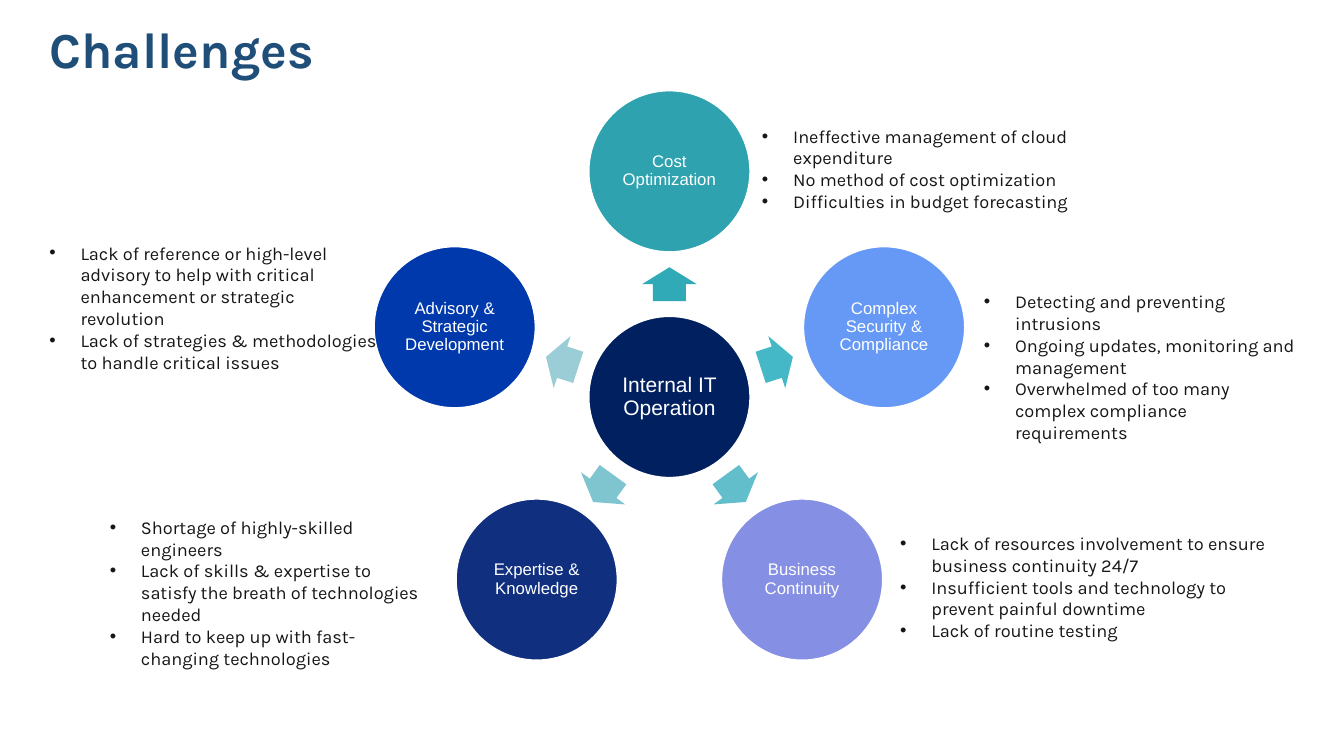
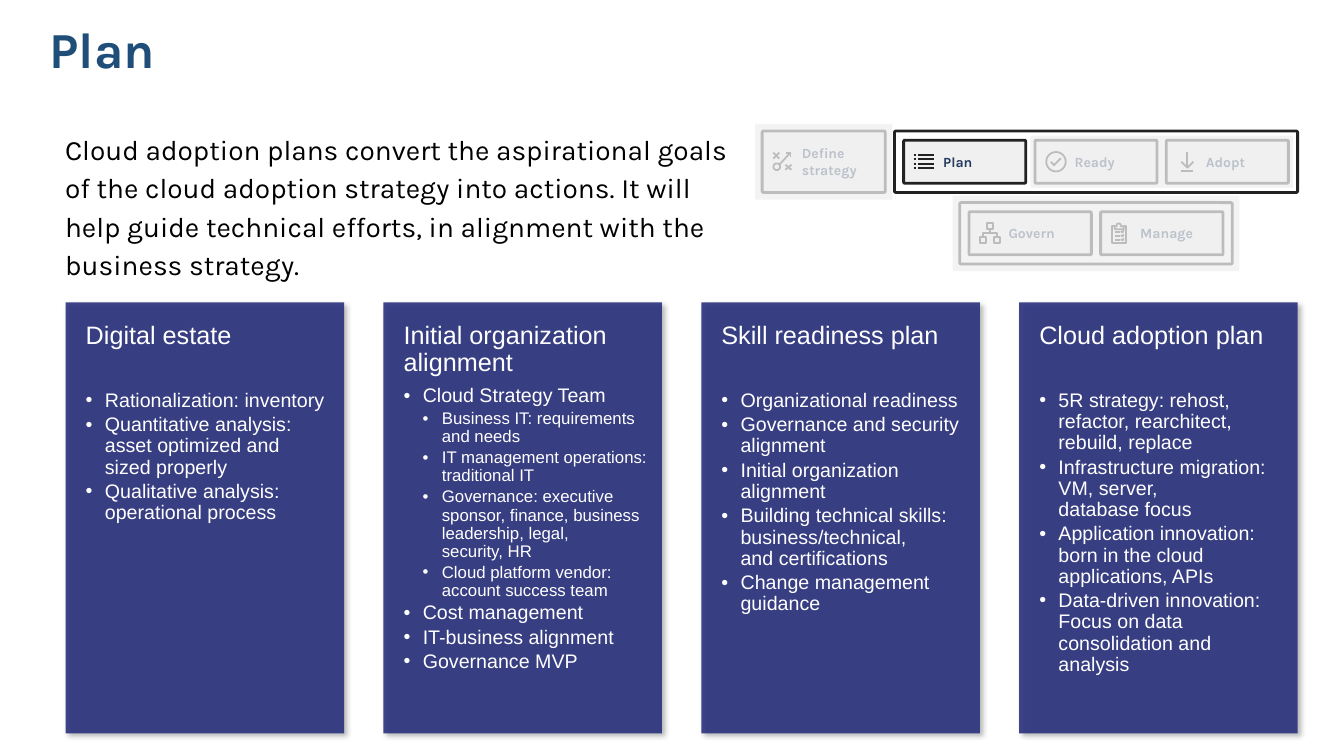
from copy import deepcopy
from dataclasses import dataclass, replace
from math import cos, radians, sin

from lxml import etree
from pptx import Presentation
from pptx import util as u
from pptx.dml.color import RGBColor
from pptx.enum import shapes as sh
from pptx.enum import text as tx
from pptx.oxml.ns import qn


@dataclass(frozen=True)
class Style:
    """Look of one kind of paragraph."""
    size: float
    font: str
    color: str
    bold: bool = False
    centered: bool = False
    spacing: float = 1.0
    after: float = 0
    level: int = 0
    margin: float = 0
    hanging: float = 0


@dataclass(frozen=True)
class Theme:
    """Colours and type styles of the deck."""
    ink: str = "222222"
    pale: str = "F0F0F0"
    white: str = "FFFFFF"
    card: str = "2A317D"
    hub: str = "002060"
    title: Style = Style(36, "Karla", "1F4E79", bold=True, spacing=0.9)
    lead: Style = Style(20, "Karla", "000000", spacing=1.14)
    note: Style = Style(13, "Karla", "171616", margin=0.31, hanging=0.31)
    hub_label: Style = Style(15, "Arial", "FFFFFF", centered=True, spacing=0.9)
    topic_label: Style = Style(12, "Arial", "FFFFFF", centered=True, spacing=0.9)
    stage: Style = Style(10, "Karla", "243A5E", bold=True)
    heading: Style = Style(18, "Arial", "FFFFFF", spacing=0.9, after=6.3)
    point: Style = Style(14, "Arial", "FFFFFF", spacing=0.9, after=2.3,
                         level=1, margin=0.19, hanging=0.19)
    subpoint: Style = Style(12, "Arial", "FFFFFF", spacing=0.9, after=2,
                            level=2, margin=0.38, hanging=0.19)


@dataclass(frozen=True)
class Box:
    """Rectangle in inches."""
    left: float
    top: float
    width: float
    height: float

    def share(self, left, top, width, height):
        """Return the area given in percent of this box."""
        return Box(self.left + self.width * left / 100, self.top + self.height * top / 100,
                   self.width * width / 100, self.height * height / 100)

    def inset(self, pad):
        """Return the box shrunk by pad on every side."""
        return Box(self.left + pad, self.top + pad, self.width - 2 * pad, self.height - 2 * pad)

    def columns(self, count, gap):
        """Split the box into equal columns."""
        width = (self.width - gap * (count - 1)) / count
        return [Box(self.left + i * (width + gap), self.top, width, self.height)
                for i in range(count)]

    def emu(self):
        """Return the four lengths for python-pptx."""
        return [u.Inches(v) for v in (self.left, self.top, self.width, self.height)]


THEME = Theme()
PAGE = Box(0, 0, 13.33, 7.5)
TITLE = PAGE.share(2.93, 2, 93.02, 9.87)

TOPICS = [
    ("Cost Optimization", "2EA2AF", "31AAB8", (55.96, 15.87, 31.13, 10.13),
     ["Ineffective management of cloud expenditure", "No method of cost optimization",
      "Difficulties in budget forecasting"]),
    ("Complex Security & Compliance", "6699F6", "44B8C7", (72.47, 37.73, 24.68, 18.8),
     ["Detecting and preventing intrusions", "Ongoing updates, monitoring and management",
      "Overwhelmed of too many complex compliance requirements"]),
    ("Business Continuity", "858FE3", "62BECB", (66.24, 69.73, 28.66, 15.87),
     ["Lack of resources involvement to ensure business continuity 24/7",
      "Insufficient tools and technology to prevent painful downtime",
      "Lack of routine testing"]),
    ("Expertise & Knowledge", "102F7F", "7FC5D0", (7.43, 67.6, 24.98, 18.8),
     ["Shortage of highly-skilled engineers",
      "Lack of skills & expertise to satisfy the breath of technologies needed",
      "Hard to keep up with fast-changing technologies"]),
    ("Advisory & Strategic Development", "0039AC", "9BCDD6", (2.93, 31.33, 25.96, 15.87),
     ["Lack of reference or high-level advisory to help with critical enhancement "
      "or strategic revolution",
      "Lack of strategies & methodologies to handle critical issues"]),
]

LEAD = ("Cloud adoption plans convert the aspirational goals of the cloud adoption strategy "
        "into actions. It will help guide technical efforts, in alignment with the business "
        "strategy.")

CARDS = [
    ("Digital estate", 29,
     ["Rationalization: inventory", "Quantitative analysis:\vasset optimized and\vsized properly",
      "Qualitative analysis: operational process"]),
    ("Initial organization alignment", 6.3,
     ["Cloud Strategy Team",
      ["Business IT: requirements\vand needs", "IT management operations: traditional IT",
       "Governance: executive\vsponsor, finance, business leadership, legal,\vsecurity, HR",
       "Cloud platform vendor: account success team"],
      "Cost management", "IT-business alignment", "Governance MVP"]),
    ("Skill readiness plan", 29,
     ["Organizational readiness", "Governance and security alignment",
      "Initial organization alignment",
      "Building technical skills: business/technical,\vand certifications",
      "Change management guidance"]),
    ("Cloud adoption plan", 29,
     ["5R strategy: rehost, refactor, rearchitect, rebuild, replace",
      "Infrastructure migration: VM, server,\vdatabase focus",
      "Application innovation: born in the cloud applications, APIs",
      "Data-driven innovation: Focus on data consolidation and analysis"]),
]


def ring(x, y, radius):
    """Return the points of a closed circle."""
    return [(x + radius * cos(radians(a)), y + radius * sin(radians(a)))
            for a in range(0, 361, 15)]


def square(x, y):
    """Return the outline of a six unit square."""
    return [(x, y), (x + 6, y), (x + 6, y + 6), (x, y + 6), (x, y)]


ICONS = {
    "Define strategy": [
        [(6, 7), (0, 1)], [(6, 1), (0, 7)], [(18, 18), (12, 13)], [(18, 13), (12, 18)],
        ring(3.5, 15, 3.3), [(6, 13), (17, 1)], [(17, 5), (17, 1), (13, 1)]],
    "Plan": [[(x, y), (end, y)] for y in (3, 7.5, 12, 16.5) for x, end in ((-1, 1), (3, 19))],
    "Ready": [ring(10, 10, 9.7), [(5, 10), (8, 13.5), (15, 6.5)]],
    "Adopt": [[(4, 10), (10, 16), (16, 10)], [(10, 16), (10, 0)], [(4, 19), (16, 19)]],
    "Govern": [square(0, 14), square(14, 14), square(7, 0), [(10, 6), (10, 10)],
               [(17, 14), (17, 10), (3, 10), (3, 14)]],
    "Manage": [
        [(3, 3), (0, 3), (0, 20), (14, 20), (14, 3), (12, 3)],
        [(5, 3), (5, 1), (7, 0), (9, 1), (9, 3), (12, 3), (12, 6), (3, 6), (3, 3), (5, 3)],
        *[[(3, y), (8, y)] for y in (9, 13, 17)],
        *[[(9, y), (11, y + 1), (12, y - 1)] for y in (8, 12, 16)]],
}


def rgb(color):
    """Turn a hex colour into an RGBColor."""
    return RGBColor.from_string(color)


def style_paragraph(paragraph, content, style):
    """Fill one paragraph and give it its style."""
    paragraph.text = content
    props = paragraph._p.get_or_add_pPr()
    if style.hanging:
        props.set("marL", str(u.Inches(style.margin)))
        props.set("indent", str(-u.Inches(style.hanging)))
        etree.SubElement(props, qn("a:buFont")).set("typeface", "Arial")
        etree.SubElement(props, qn("a:buChar")).set("char", "•")
    paragraph.level = style.level
    paragraph.alignment = tx.PP_ALIGN.CENTER if style.centered else tx.PP_ALIGN.LEFT
    paragraph.line_spacing = style.spacing
    paragraph.space_after = u.Pt(style.after)
    for run in paragraph.runs:
        run.font.size = u.Pt(style.size)
        run.font.name = style.font
        run.font.bold = style.bold
        run.font.color.rgb = rgb(style.color)
    for line_break in paragraph._p.findall(qn("a:br")):
        line_break.append(deepcopy(paragraph.runs[0].font._rPr))


def write(frame, items, margins=(0.1, 0.05, 0.1, 0.05), middle=False):
    """Write (text, style) pairs into a text frame."""
    frame.word_wrap = True
    frame.vertical_anchor = tx.MSO_ANCHOR.MIDDLE if middle else tx.MSO_ANCHOR.TOP
    (frame.margin_left, frame.margin_top,
     frame.margin_right, frame.margin_bottom) = [u.Inches(m) for m in margins]
    for index, (content, style) in enumerate(items):
        paragraph = frame.add_paragraph() if index else frame.paragraphs[0]
        style_paragraph(paragraph, content, style)


def paint(shape, fill=None, line=None, weight=1, alpha=None):
    """Set fill, opacity and outline, without shadow."""
    shape.shadow.inherit = False
    if fill:
        shape.fill.solid()
        shape.fill.fore_color.rgb = rgb(fill)
    else:
        shape.fill.background()
    if alpha:
        color = shape._element.spPr.find(qn("a:solidFill"))[0]
        etree.SubElement(color, qn("a:alpha")).set("val", str(alpha * 1000))
    if line:
        shape.line.color.rgb = rgb(line)
        shape.line.width = u.Pt(weight)
    else:
        shape.line.fill.background()


def add_block(shapes, preset, box, **look):
    """Add a painted preset shape."""
    block = shapes.add_shape(preset, *box.emu())
    paint(block, **look)
    return block


def add_titled_slide(deck, title):
    """Add a title-only slide and format its title."""
    slide = deck.slides.add_slide(deck.slide_layouts[5])
    holder = slide.shapes.title
    holder.left, holder.top, holder.width, holder.height = TITLE.emu()
    write(holder.text_frame, [(title, THEME.title)], middle=True)
    return slide


def add_wheel(slide, box):
    """Draw the hub, its arrows and the topics around it."""
    shapes = slide.shapes.add_group_shape().shapes
    step = 360 / len(TOPICS)
    diameter = box.height / (1 + 1.4 * (1 + cos(radians(step / 2))))
    center_x, center_y = box.left + box.width / 2, box.top + 1.9 * diameter

    def polar(angle, distance, width, height):
        """Return a box centred at an angle and distance from the hub."""
        x = center_x + distance * diameter * cos(radians(angle))
        y = center_y + distance * diameter * sin(radians(angle))
        width, height = width * diameter, height * diameter
        return Box(x - width / 2, y - height / 2, width, height)

    def circle(place, label, style, fill):
        """Add a labelled circle."""
        disc = add_block(shapes, sh.MSO_SHAPE.OVAL, place, fill=fill, line=THEME.white)
        write(disc.text_frame, [(label, style)], (0.02,) * 4, middle=True)

    circle(polar(0, 0, 1, 1), "Internal IT Operation", THEME.hub_label, THEME.hub)
    for index, (label, fill, arrow_fill, _, _) in enumerate(TOPICS):
        angle = index * step - 90
        arrow = add_block(shapes, sh.MSO_SHAPE.RIGHT_ARROW, polar(angle, 0.7, 0.21, 0.34),
                          fill=arrow_fill)
        arrow.adjustments[0], arrow.adjustments[1] = 0.6, 0.5
        arrow.rotation = angle % 360
        circle(polar(angle, 1.4, 1, 1), label, THEME.topic_label, fill)


def add_text(slide, box, items, **layout):
    """Add a wrapped text box."""
    write(slide.shapes.add_textbox(*box.emu()).text_frame, items, **layout)


def add_icon(shapes, cell, strokes):
    """Draw a line icon at the left of a stage cell."""
    unit = cell.width / 122
    points = [[(round(x * 10), round(y * 10)) for x, y in stroke] for stroke in strokes]
    builder = shapes.build_freeform(*points[0][0], scale=u.Inches(unit) / 10)
    for index, stroke in enumerate(points):
        if index:
            builder.move_to(*stroke[0])
        builder.add_line_segments(stroke[1:], close=False)
    icon = builder.convert_to_shape(u.Inches(cell.left + 11 * unit),
                                    u.Inches(cell.top + cell.height / 2 - 10 * unit))
    paint(icon, line=THEME.ink, weight=1.25)


def add_panel(shapes, box, fill=None):
    """Add an outlined panel with slightly rounded corners."""
    panel = add_block(shapes, sh.MSO_SHAPE.ROUNDED_RECTANGLE, box,
                      fill=fill, line=THEME.ink, weight=2)
    panel.adjustments[0] = 0.025
    return panel


def add_stages(shapes, cells, names):
    """Add one labelled cell with an icon for each stage."""
    for cell, name in zip(cells, names):
        panel = add_panel(shapes, cell, THEME.pale)
        write(panel.text_frame, [(name, THEME.stage)], (0.39, 0, 0, 0), middle=True)
        add_icon(shapes, cell, ICONS[name])


def add_roadmap(slide, box):
    """Draw the adoption stages and veil all but the current one."""
    shapes = slide.shapes.add_group_shape().shapes
    define = box.share(0, 0, 23, 46.2)
    delivery = box.share(24.7, 0, 75.3, 46.2)
    running = box.share(36.9, 53.8, 50.9, 46.2)
    pad = 0.15 * delivery.height
    stages = delivery.inset(pad).columns(3, pad)
    add_panel(shapes, delivery)
    add_stages(shapes, stages, ["Plan", "Ready", "Adopt"])
    add_stages(shapes, [define], ["Define strategy"])
    add_panel(shapes, running)
    add_stages(shapes, running.inset(pad).columns(2, pad), ["Govern", "Manage"])
    ready = stages[1]
    later = replace(ready, width=2 * ready.width + pad)
    for veil in (later.inset(-pad / 2), running.inset(-0.07), define.inset(-0.07)):
        add_block(shapes, sh.MSO_SHAPE.RECTANGLE, veil, fill=THEME.pale, alpha=75)


def add_card(slide, box, heading, gap, points):
    """Draw one card with a heading and nested points."""
    card = add_block(slide.shapes, sh.MSO_SHAPE.RECTANGLE, box, fill=THEME.card, alpha=90)
    shadow = etree.SubElement(card._element.spPr.find(qn("a:effectLst")), qn("a:outerShdw"),
                              blurRad=str(u.Pt(4)), dist=str(u.Pt(3)), dir="2700000",
                              algn="tl", rotWithShape="0")
    black = etree.SubElement(shadow, qn("a:srgbClr"), val="000000")
    etree.SubElement(black, qn("a:alpha"), val="30000")
    items = [(heading, replace(THEME.heading, after=gap))]
    for point in points:
        if isinstance(point, list):
            items += [(detail, THEME.subpoint) for detail in point]
        else:
            items.append((point, THEME.point))
    write(card.text_frame, items, (0.2, 0.2, 0.1, 0))


def build_challenges(deck):
    """Build the slide of challenges around IT operation."""
    slide = add_titled_slide(deck, "Challenges")
    add_wheel(slide, PAGE.share(27.83, 12, 43.96, 75.33))
    for _, _, _, place, notes in TOPICS:
        add_text(slide, PAGE.share(*place), [(note, THEME.note) for note in notes])


def build_plan(deck):
    """Build the slide of the planning stage."""
    slide = add_titled_slide(deck, "Plan")
    add_text(slide, PAGE.share(4.84, 16.27, 50.04, 21.87), [(LEAD, THEME.lead)],
             margins=(0, 0.05, 0.1, 0.05))
    add_roadmap(slide, PAGE.share(56.71, 17.33, 39.84, 17.6))
    for box, card in zip(PAGE.share(4.88, 40, 91.67, 57).columns(len(CARDS), 0.39), CARDS):
        add_card(slide, box, *card)


def main():
    """Build and save the deck."""
    deck = Presentation()
    deck.slide_width, deck.slide_height = u.Inches(PAGE.width), u.Inches(PAGE.height)
    build_challenges(deck)
    build_plan(deck)
    deck.save("out.pptx")


if __name__ == "__main__":
    main()
